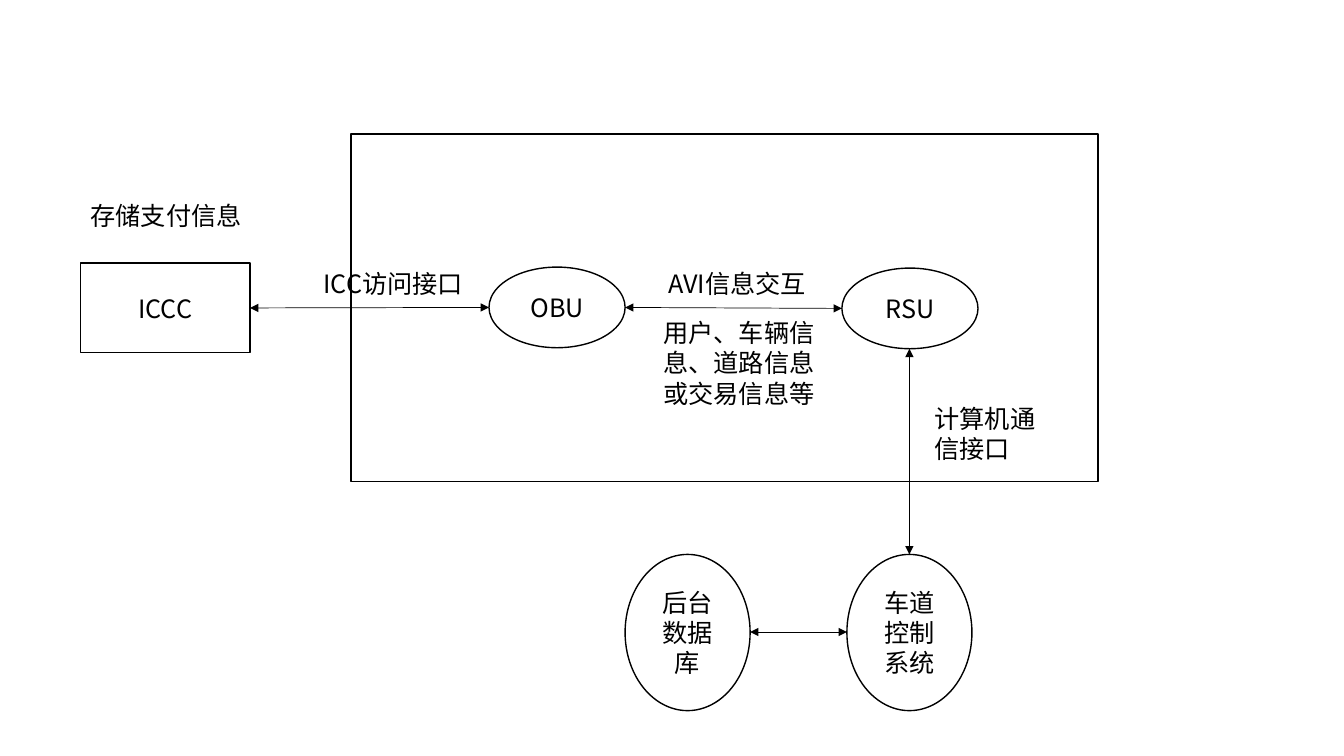
from lxml import etree
from pptx import Presentation
from pptx.dml.color import RGBColor
from pptx.enum.shapes import MSO_CONNECTOR, MSO_SHAPE
from pptx.enum.text import MSO_ANCHOR, MSO_AUTO_SIZE, PP_ALIGN
from pptx.oxml.ns import qn
from pptx.util import Inches, Pt

RECTANGLE, OVAL = MSO_SHAPE.RECTANGLE, MSO_SHAPE.OVAL
STRAIGHT = MSO_CONNECTOR.STRAIGHT
CENTER, LEFT = PP_ALIGN.CENTER, PP_ALIGN.LEFT
MIDDLE, TOP = MSO_ANCHOR.MIDDLE, MSO_ANCHOR.TOP
FIT_SHAPE = MSO_AUTO_SIZE.SHAPE_TO_FIT_TEXT
BLACK = RGBColor(0x00, 0x00, 0x00)
WHITE = RGBColor(0xFF, 0xFF, 0xFF)
FONT_NAME = "Noto Sans CJK SC"
RECTANGLE_RIGHT = 3


def write_text(shape, text, alignment, anchor):
    frame = shape.text_frame
    frame.word_wrap = True
    frame.vertical_anchor = anchor
    paragraph = frame.paragraphs[0]
    paragraph.alignment = alignment
    run = paragraph.add_run()
    run.text = text
    for name, value in {"name": FONT_NAME, "size": Pt(18)}.items():
        setattr(run.font, name, value)
    run.font.color.rgb = BLACK
    east_asian = etree.SubElement(run.font._element, qn("a:ea"))
    east_asian.set("typeface", FONT_NAME)


presentation = Presentation()
presentation.slide_width = Inches(13.33)
presentation.slide_height = Inches(7.5)
slide = presentation.slides.add_slide(presentation.slide_layouts[6])

# Nodes, from back to front: kind, text, left, top, width, height
nodes = [
    (RECTANGLE, "ICCC", 0.8, 2.61, 1.68, 0.89),
    (RECTANGLE, "", 3.48, 1.33, 7.41, 3.45),
    (OVAL, "OBU", 4.85, 2.65, 1.35, 0.8),
    (OVAL, "RSU", 8.35, 2.66, 1.35, 0.8),
    (OVAL, "后台数据库", 6.2, 5.5, 1.24, 1.55),
    (OVAL, "车道控制系统", 8.4, 5.5, 1.24, 1.55),
]
node_shapes = {}
for kind, text, *box in nodes:
    shape = slide.shapes.add_shape(kind, *map(Inches, box))
    shape.shadow.inherit = False
    shape.fill.solid()
    shape.fill.fore_color.rgb = WHITE
    shape.line.color.rgb = BLACK
    shape.line.width = Pt(1)
    if text:
        write_text(shape, text, CENTER, MIDDLE)
    node_shapes[text] = shape

# Double-headed arrows: start x, start y, end x, end y, node joined at the start
arrows = [
    (2.48, 3.06, 4.85, 3.05, "ICCC"),
    (6.2, 3.05, 8.35, 3.06, None),
    (9.02, 3.46, 9.02, 5.5, None),
    (7.44, 6.27, 8.4, 6.27, None),
]
for *ends, start_node in arrows:
    arrow = slide.shapes.add_connector(STRAIGHT, *map(Inches, ends))
    if start_node:
        arrow.begin_connect(node_shapes[start_node], RECTANGLE_RIGHT)
    arrow.line.color.rgb = BLACK
    arrow.line.width = Pt(0.5)
    line = arrow.line._get_or_add_ln()
    for tag in ("a:headEnd", "a:tailEnd"):
        etree.SubElement(line, qn(tag)).set("type", "triangle")
    etree.SubElement(arrow._element.spPr, qn("a:effectLst"))

# Labels: text, left, top, width, height
labels = [
    ("存储支付信息", 0.8, 1.94, 1.89, 0.4),
    ("ICC访问接口", 3.11, 2.61, 1.74, 0.4),
    ("AVI信息交互", 6.53, 2.61, 1.87, 0.4),
    ("用户、车辆信息、道路信息或交易信息等", 6.48, 3.1, 1.87, 1.01),
    ("计算机通信接口", 9.17, 3.95, 1.44, 0.71),
]
for text, *box in labels:
    label = slide.shapes.add_textbox(*map(Inches, box))
    write_text(label, text, LEFT, TOP)
    label.text_frame.auto_size = FIT_SHAPE

presentation.save("out.pptx")
